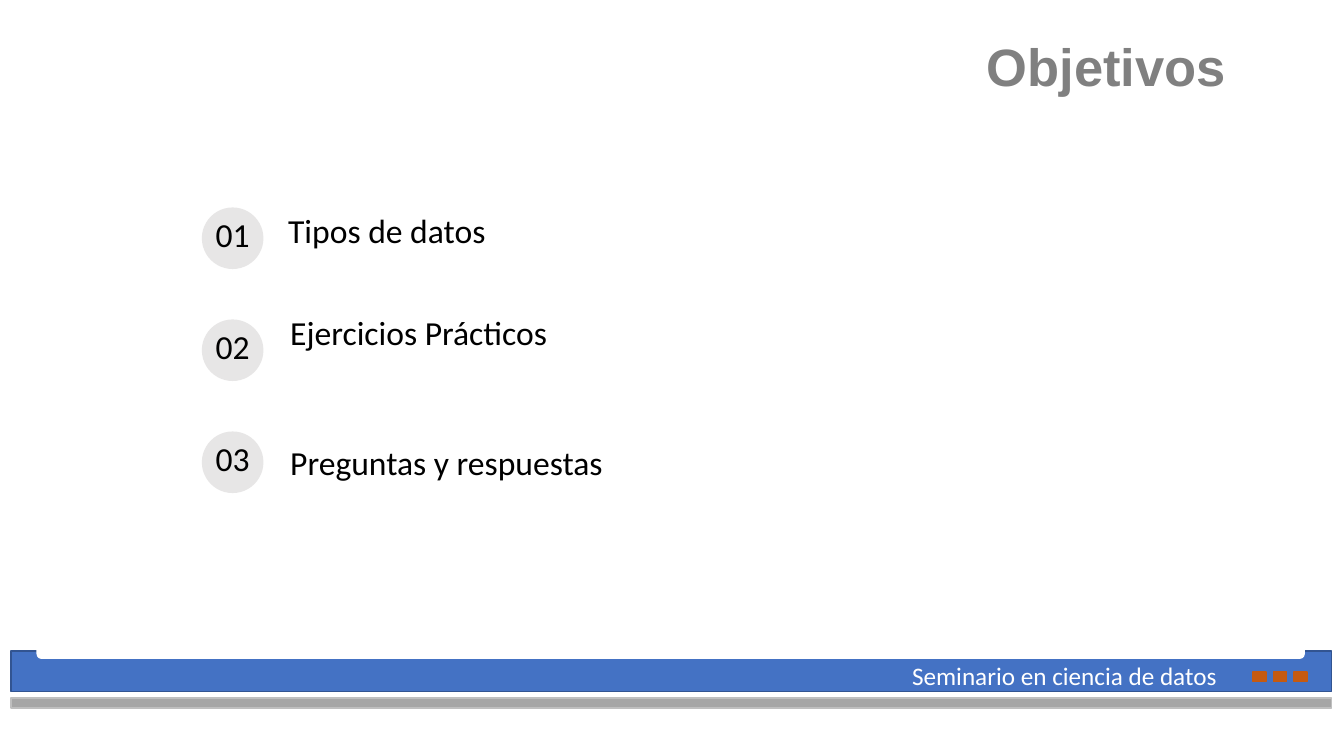
from dataclasses import dataclass

from pptx import Presentation
from pptx.dml.color import RGBColor
from pptx.enum import shapes, text
from pptx.util import Pt


@dataclass(frozen=True)
class Theme:
    blue: str = "4472C4"
    blue_edge: str = "325491"
    white: str = "FFFFFF"
    grey: str = "A6A6A6"
    grey_edge: str = "BFBFBF"
    orange: str = "C55A11"
    circle: str = "E7E6E6"
    heading: str = "808080"
    ink: str = "000000"
    heading_font: str = "Arial"
    body_font: str = "Calibri"
    heading_size: float = 37.5
    body_size: float = 24
    footer_size: float = 18


class SlideBuilder:
    def __init__(self, slide, theme):
        self.slide = slide
        self.theme = theme

    def set_text(self, frame, words, size, color, font=None, bold=False,
                 align=text.PP_ALIGN.LEFT, spacing=1.0,
                 anchor=text.MSO_ANCHOR.TOP, insets=(7.2, 3.6, 7.2, 3.6)):
        """Fill a text frame; insets are left, top, right, bottom."""
        frame.word_wrap = True
        frame.auto_size = text.MSO_AUTO_SIZE.NONE
        frame.vertical_anchor = anchor
        (frame.margin_left, frame.margin_top,
         frame.margin_right, frame.margin_bottom) = map(Pt, insets)
        frame.text = words
        paragraph = frame.paragraphs[0]
        paragraph.alignment = align
        paragraph.line_spacing = spacing
        paragraph.font.name = font or self.theme.body_font
        paragraph.font.size = Pt(size)
        paragraph.font.bold = bold
        paragraph.font.color.rgb = RGBColor.from_string(color)

    def title(self, words, box):
        heading = self.slide.shapes.title
        heading.left, heading.top, heading.width, heading.height = map(Pt, box)
        self.set_text(heading.text_frame, words, self.theme.heading_size,
                      self.theme.heading, self.theme.heading_font, bold=True,
                      align=text.PP_ALIGN.RIGHT, spacing=0.7,
                      anchor=text.MSO_ANCHOR.BOTTOM,
                      insets=(7.2, 3.6, 17.5, 3.6))

    def label(self, words, box, size, color, **style):
        frame = self.slide.shapes.add_textbox(*map(Pt, box)).text_frame
        self.set_text(frame, words, size, color, **style)

    def shape(self, kind, box, fill, edge=None):
        figure = self.slide.shapes.add_shape(kind, *map(Pt, box))
        figure.shadow.inherit = False
        figure.fill.solid()
        figure.fill.fore_color.rgb = RGBColor.from_string(fill)
        if edge:
            figure.line.color.rgb = RGBColor.from_string(edge)
            figure.line.width = Pt(1)
        else:
            figure.line.fill.background()
        return figure

    def number(self, words, box):
        circle = self.shape(shapes.MSO_SHAPE.OVAL, box, self.theme.circle)
        self.set_text(circle.text_frame, words, self.theme.body_size,
                      self.theme.ink, align=text.PP_ALIGN.CENTER, spacing=0.9,
                      anchor=text.MSO_ANCHOR.MIDDLE, insets=(0, 0, 0, 2))

    def footer(self, words):
        theme, kinds = self.theme, shapes.MSO_SHAPE
        left, width = 8, 943
        self.shape(kinds.RECTANGLE, (left, 465, width, 29),
                   theme.blue, theme.blue_edge)
        self.shape(kinds.ROUNDED_RECTANGLE, (26.6, 451.5, 905, 18.7),
                   theme.white, theme.white)
        self.shape(kinds.RECTANGLE, (left, 498.5, width, 7.2),
                   theme.grey, theme.grey_edge)
        for index in range(3):
            self.shape(kinds.RECTANGLE,
                       (895 + 14.6 * index, 480, 9.4, 6.8),
                       theme.orange, theme.orange)
        self.label(words, (644.4, 468, 248.4, 29),
                   theme.footer_size, theme.white)


def main():
    deck = Presentation()
    deck.slide_width, deck.slide_height = Pt(960), Pt(540)
    title_only = deck.slide_layouts[5]
    page = SlideBuilder(deck.slides.add_slide(title_only), Theme())

    page.footer("Seminario en ciencia de datos")
    page.title("Objetivos", (101.5, 28.8, 792, 43.2))

    goals = [
        ("Tipos de datos", 198.7, 153.4),
        ("Ejercicios Prácticos", 200.2, 226),
        ("Preguntas y respuestas", 200.2, 319),
    ]
    for index, (goal, left, top) in enumerate(goals):
        page.number(f"{index + 1:02}", (144.2, 148.2 + 80 * index, 44, 44))
        page.label(goal, (left, top, 290, 44), page.theme.body_size,
                   page.theme.ink, spacing=0.9, insets=(7.2, 0, 7.2, 7.2))

    deck.save("out.pptx")


if __name__ == "__main__":
    main()
